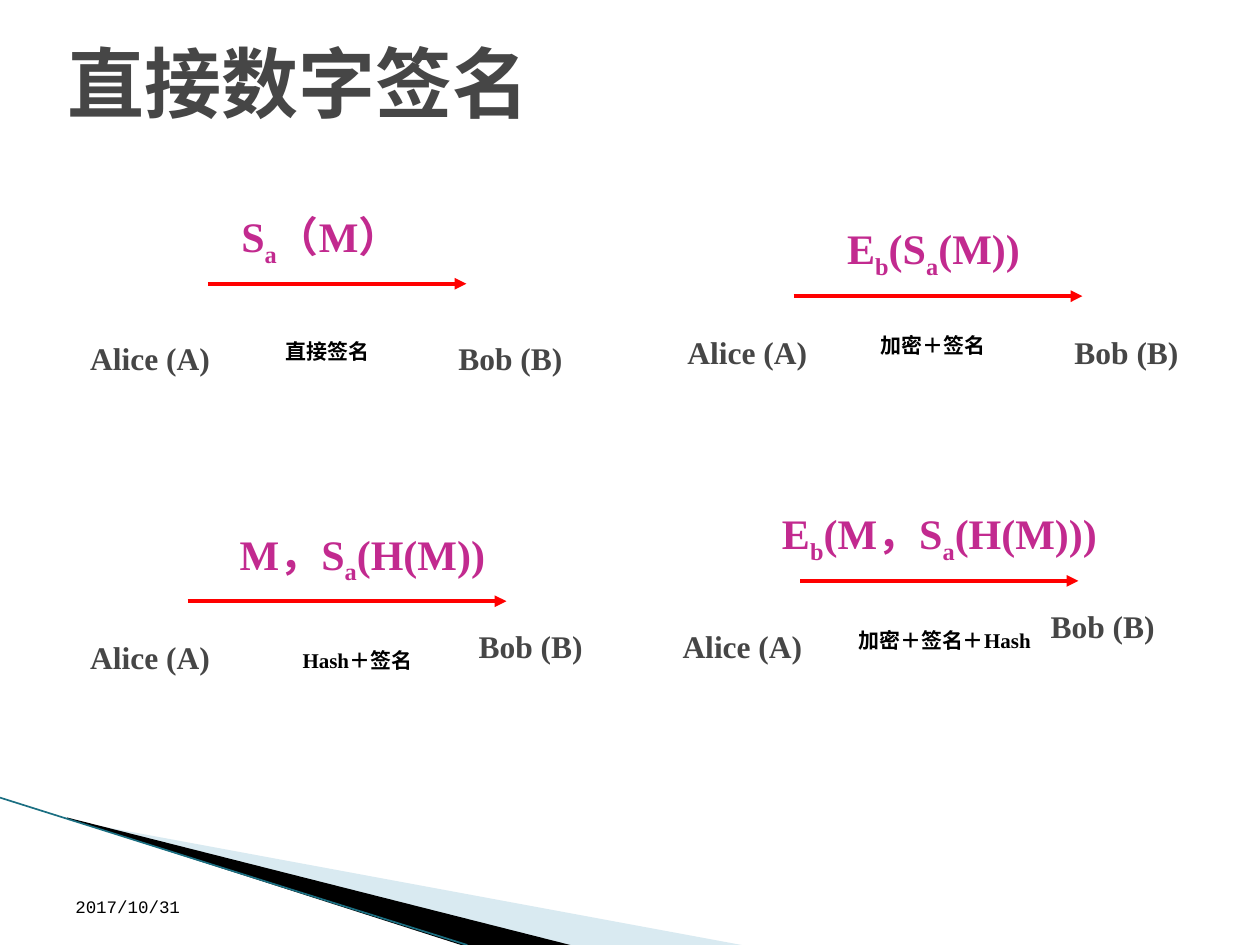
from lxml import etree
from pptx import Presentation
from pptx.dml.color import RGBColor
from pptx.enum.shapes import MSO_CONNECTOR
from pptx.enum.text import MSO_ANCHOR, PP_ALIGN
from pptx.oxml.ns import qn
from pptx.util import Cm, Pt

LEFT, CENTER = PP_ALIGN.LEFT, PP_ALIGN.CENTER
TOP, MIDDLE, BOTTOM = MSO_ANCHOR.TOP, MSO_ANCHOR.MIDDLE, MSO_ANCHOR.BOTTOM
STRAIGHT = MSO_CONNECTOR.STRAIGHT

COLORS = {"text": "464646", "formula": "C22A8F", "arrow": "FF0000",
          "black": "000000", "pale": "A0CBDC", "edge": "1B6F82"}

# Content: "_" puts the next letter in subscript; lengths are in cm
TITLE = "直接数字签名"
DATE = "2017/10/31"
SCHEMES = [
    {"formula": ("S_a（M）", 3.78, 5.38), "arrow": (4.19, 9.4, 5.72),
     "alice": (1.57, 6.71), "bob": (8.99, 6.71),
     "caption": ("直接签名", 4.6, 6.71, 3.99)},
    {"formula": ("E_b(S_a(M))", 15.62, 6.4), "arrow": (16, 21.82, 5.97),
     "alice": (13.61, 6.58), "bob": (21.41, 6.58),
     "caption": ("加密＋签名", 16.81, 6.58, 3.99)},
    {"formula": ("M，S_a(H(M))", 3.61, 7.39), "arrow": (3.78, 10.21, 12.12),
     "alice": (1.57, 12.73), "bob": (9.4, 12.52),
     "caption": ("Hash＋签名", 5.21, 12.93, 3.99)},
    {"formula": ("E_b(M，S_a(H(M)))", 14.94, 8), "arrow": (16.13, 21.74, 11.71),
     "alice": (13.51, 12.52), "bob": (20.93, 12.12),
     "caption": ("加密＋签名＋Hash", 16.74, 12.52, 4.6)},
]
SWOOSHES = [
    ("pale", 40, [(1.4, 16.54), (15.11, 19.08), (11.58, 19.08), (1.4, 16.51)]),
    ("black", 100, [(1.35, 16.48), (11.61, 19.08), (9.45, 19.1), (1.37, 16.51)]),
]

# Text formats
SERIF = {"name": "Times New Roman", "bold": True}
FORMATS = {
    "title": {**SERIF, "size": Pt(44)},
    "formula": {**SERIF, "size": Pt(24)},
    "party": {**SERIF, "size": Pt(18)},
    "caption": {**SERIF, "size": Pt(12)},
    "date": {"name": "Courier New", "size": Pt(10)},
}
FORMULA_RISE = 1.6  # from the arrow up to the top of its formula box


def rgb(name):
    return RGBColor.from_string(COLORS[name])


def add_text(text, box, style, color, align=LEFT, anchor=TOP):
    tf = slide.shapes.add_textbox(*map(Cm, box)).text_frame
    tf.word_wrap = True
    tf.vertical_anchor = anchor
    p = tf.paragraphs[0]
    p.alignment = align
    first, *rest = text.split("_")
    pieces = [(first, False)]
    for part in rest:
        pieces += [(part[0], True), (part[1:], False)]
    for piece, is_subscript in pieces:
        r = p.add_run()
        r.text = piece
        for key, value in FORMATS[style].items():
            setattr(r.font, key, value)
        r.font.color.rgb = rgb(color)
        if is_subscript:
            r.font._element.set("baseline", "-25000")


def add_line(x1, y1, x2, y2, color, width, arrow=False):
    line = slide.shapes.add_connector(STRAIGHT, *map(Cm, (x1, y1, x2, y2)))
    line.line.color.rgb = rgb(color)
    line.line.width = Pt(width)
    if arrow:
        etree.SubElement(line.line._get_or_add_ln(), qn("a:tailEnd"), type="triangle")
    etree.SubElement(line._element.spPr, qn("a:effectLst"))


def add_swoosh(color, opacity, points):
    start, *others = [(Cm(x), Cm(y)) for x, y in points]
    builder = slide.shapes.build_freeform(*start)
    builder.add_line_segments(others)
    sp = builder.convert_to_shape()
    sp.shadow.inherit = False
    sp.line.fill.background()
    sp.fill.solid()
    sp.fill.fore_color.rgb = rgb(color)
    if opacity < 100:
        clr = sp._element.spPr.find(".//" + qn("a:srgbClr"))
        etree.SubElement(clr, qn("a:alpha"), val=str(opacity * 1000))


prs = Presentation()
prs.slide_width, prs.slide_height = Cm(25.4), Cm(19.05)
slide = prs.slides.add_slide(prs.slide_layouts[6])

# Corner decoration
for swoosh in SWOOSHES:
    add_swoosh(*swoosh)
add_line(0, 16.08, 9.42, 19.05, "edge", 0.95)

# Title and date
add_text(TITLE, (1.12, 0.05, 22.86, 3.18), "title", "text", anchor=MIDDLE)
add_text(DATE, (1.27, 17.35, 5.92, 1.27), "date", "black", anchor=BOTTOM)

# Four signature schemes
for scheme in SCHEMES:
    x1, x2, y = scheme["arrow"]
    add_line(x1, y, x2, y, "arrow", 2.25, arrow=True)
    formula, left, width = scheme["formula"]
    add_text(formula, (left, y - FORMULA_RISE, width, 1.27), "formula", "formula", CENTER)
    add_text("Alice (A)", (*scheme["alice"], 3.2, 1.02), "party", "text")
    add_text("Bob (B)", (*scheme["bob"], 2.6, 1.02), "party", "text")
    caption, left, top, width = scheme["caption"]
    add_text(caption, (left, top, width, 0.76), "caption", "black", CENTER)

prs.save("out.pptx")
